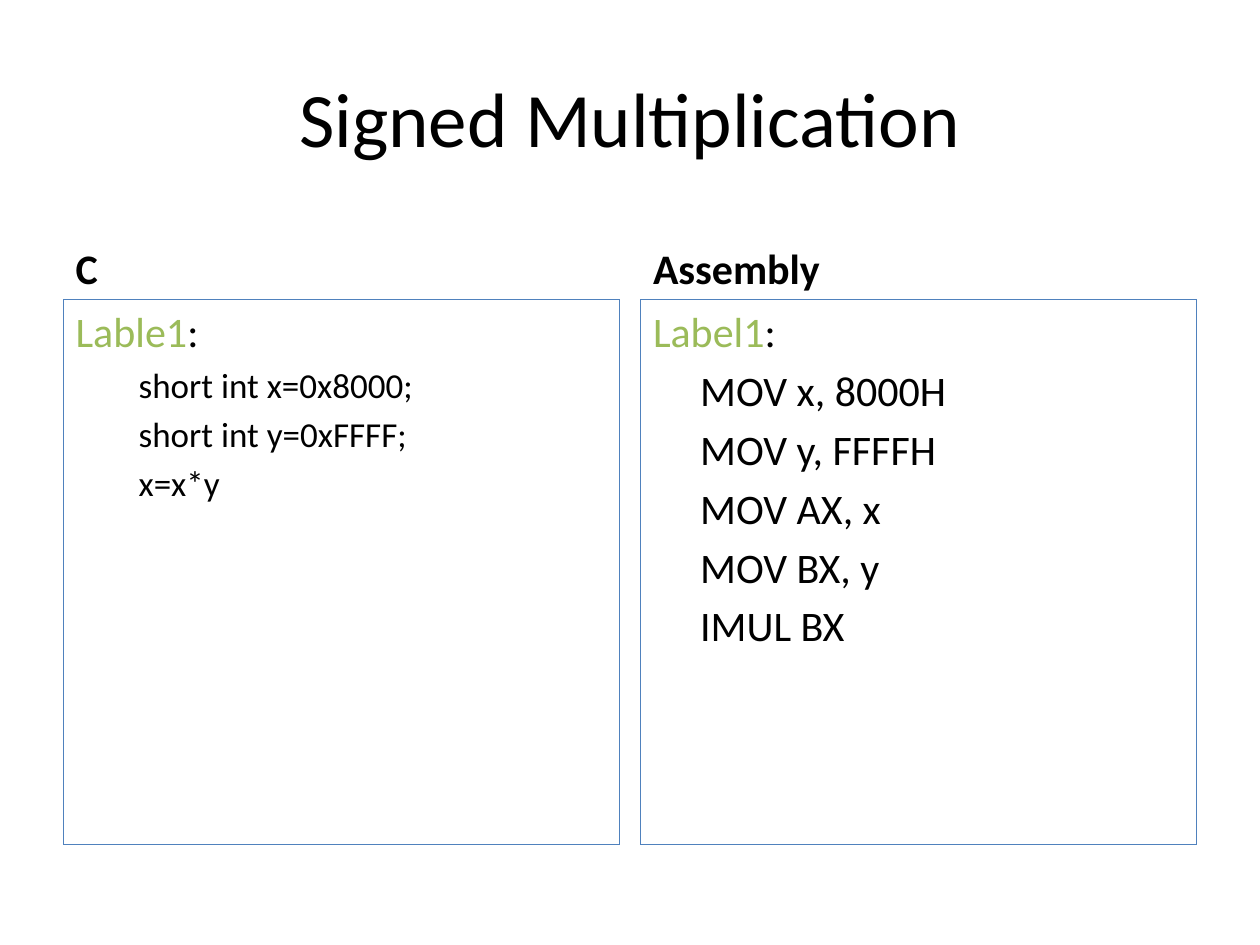
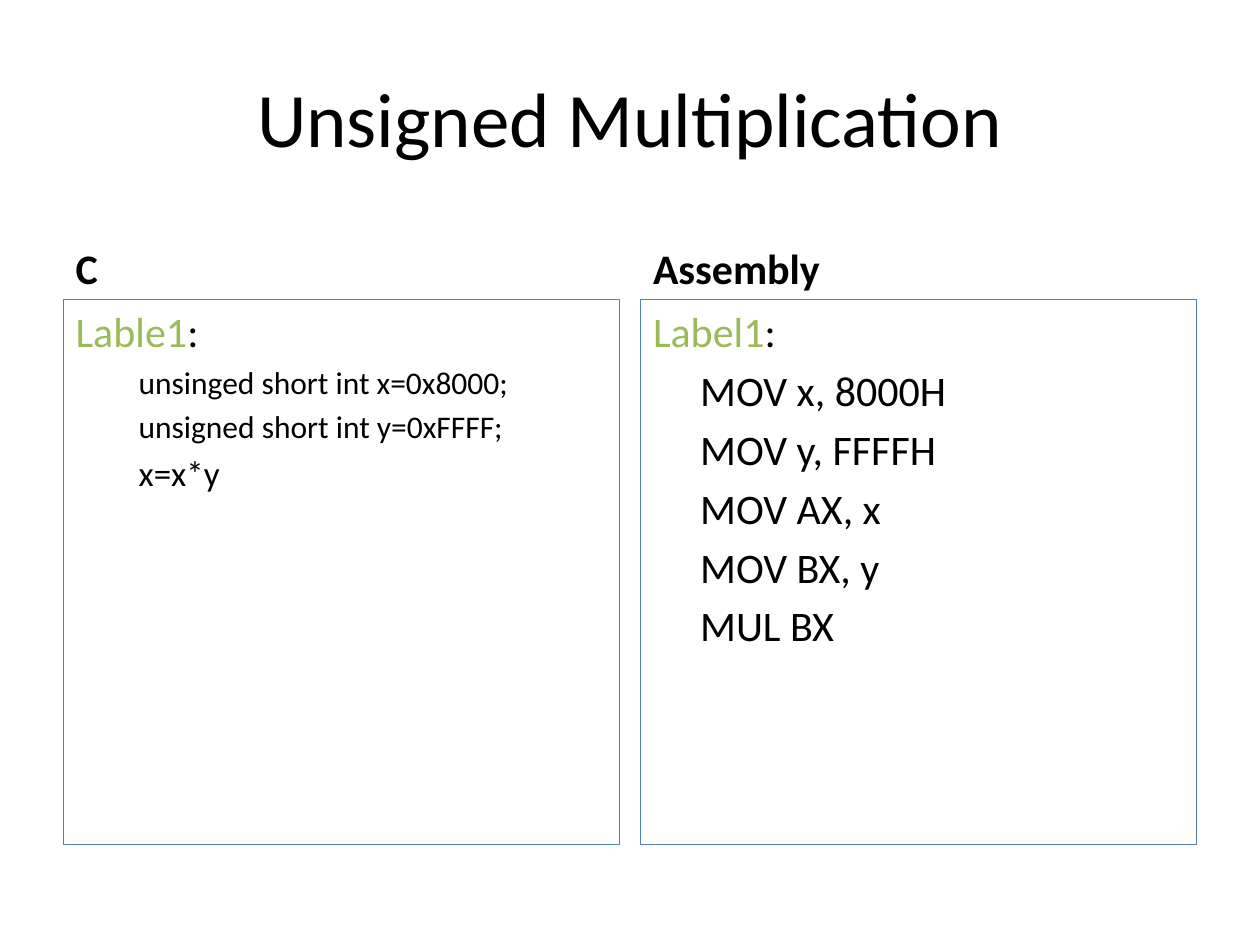
from pptx import Presentation
from pptx.dml.color import RGBColor
from pptx.enum import text
from pptx.oxml.ns import qn
from pptx.util import Cm, Pt
from lxml import etree

FONT = "Calibri"
BLACK, GREEN, BLUE = "000000", "9BBB59", "4F81BD"
MARGIN, COLUMN_W, COLUMN_STEP = 1.27, 11.22, 11.64
HEADING_TOP, HEADING_H = 4.26, 1.78
CODE_TOP, CODE_H = 6.04, 10.98
C_INDENT, ASM_INDENT = 1.27, 0.95


def place(sp, left, top, width, height, anchor):
    """Position a placeholder and return its text frame, ready to fill."""
    sp.left, sp.top, sp.width, sp.height = Cm(left), Cm(top), Cm(width), Cm(height)
    tf = sp.text_frame
    tf.word_wrap = True
    tf.auto_size = text.MSO_AUTO_SIZE.NONE
    tf.vertical_anchor = anchor
    return tf


def style(p, size, indent=0, bold=False):
    """Format a paragraph without a bullet, spaced by a fifth of its size."""
    p.font.name, p.font.size, p.font.bold = FONT, Pt(size), bold
    p.font.color.rgb = RGBColor.from_string(BLACK)
    p.space_before = Pt(size * 0.2)
    pPr = p._p.get_or_add_pPr()
    pPr.set("marL", str(Cm(indent)))
    pPr.set("indent", "0")
    pPr.insert_element_before(etree.Element(qn("a:buNone")), "a:tabLst", "a:defRPr", "a:extLst")


# Title, C lines with their sizes, and the multiply instruction
slides = [
    ("Signed Multiplication",
     [("short int x=0x8000;", 20), ("short int y=0xFFFF;", 20), ("x=x*y", 20)],
     "IMUL BX"),
    ("Unsigned Multiplication",
     [("unsinged short int x=0x8000;", 18), ("unsigned short int y=0xFFFF;", 18), ("x=x*y", 20)],
     "MUL BX"),
]
asm_setup = ["MOV x, 8000H", "MOV y, FFFFH", "MOV AX, x", "MOV BX, y"]

prs = Presentation()
prs.slide_width, prs.slide_height = Cm(25.4), Cm(19.05)
comparison = prs.slide_layouts.get_by_name("Comparison")

for title, c_lines, multiply in slides:
    s = prs.slides.add_slide(comparison)
    tf = place(s.shapes.title, MARGIN, 0.76, 22.86, 3.18, text.MSO_ANCHOR.MIDDLE)
    tf.text = title
    p = tf.paragraphs[0]
    style(p, 44)
    p.space_before = Pt(0)
    p.alignment = text.PP_ALIGN.CENTER

    asm_lines = [(line, 24) for line in asm_setup + [multiply]]
    columns = [("C", "Lable1", c_lines, C_INDENT),
               ("Assembly", "Label1", asm_lines, ASM_INDENT)]
    for i, (heading, label, lines, indent) in enumerate(columns):
        left = MARGIN + i * COLUMN_STEP
        tf = place(s.placeholders[2 * i + 1], left, HEADING_TOP, COLUMN_W, HEADING_H,
                   text.MSO_ANCHOR.BOTTOM)
        tf.text = heading
        style(tf.paragraphs[0], 24, bold=True)

        box = s.placeholders[2 * i + 2]
        box.line.color.rgb = RGBColor.from_string(BLUE)
        box.line.width = Pt(0)
        tf = place(box, left, CODE_TOP, COLUMN_W, CODE_H, text.MSO_ANCHOR.TOP)
        p = tf.paragraphs[0]
        style(p, 24)
        r = p.add_run()
        r.text = label
        r.font.color.rgb = RGBColor.from_string(GREEN)
        p.add_run().text = ":"
        for line, size in lines:
            p = tf.add_paragraph()
            p.text = line
            style(p, size, indent)

# Some viewers read only run properties, so paragraph fonts are repeated on the runs
for s in prs.slides:
    for sp in s.placeholders:
        for p in sp.text_frame.paragraphs:
            for r in p.runs:
                r.font.name, r.font.size, r.font.bold = p.font.name, p.font.size, p.font.bold
                if r.font.color.type is None:
                    r.font.color.rgb = p.font.color.rgb

prs.save("out.pptx")
